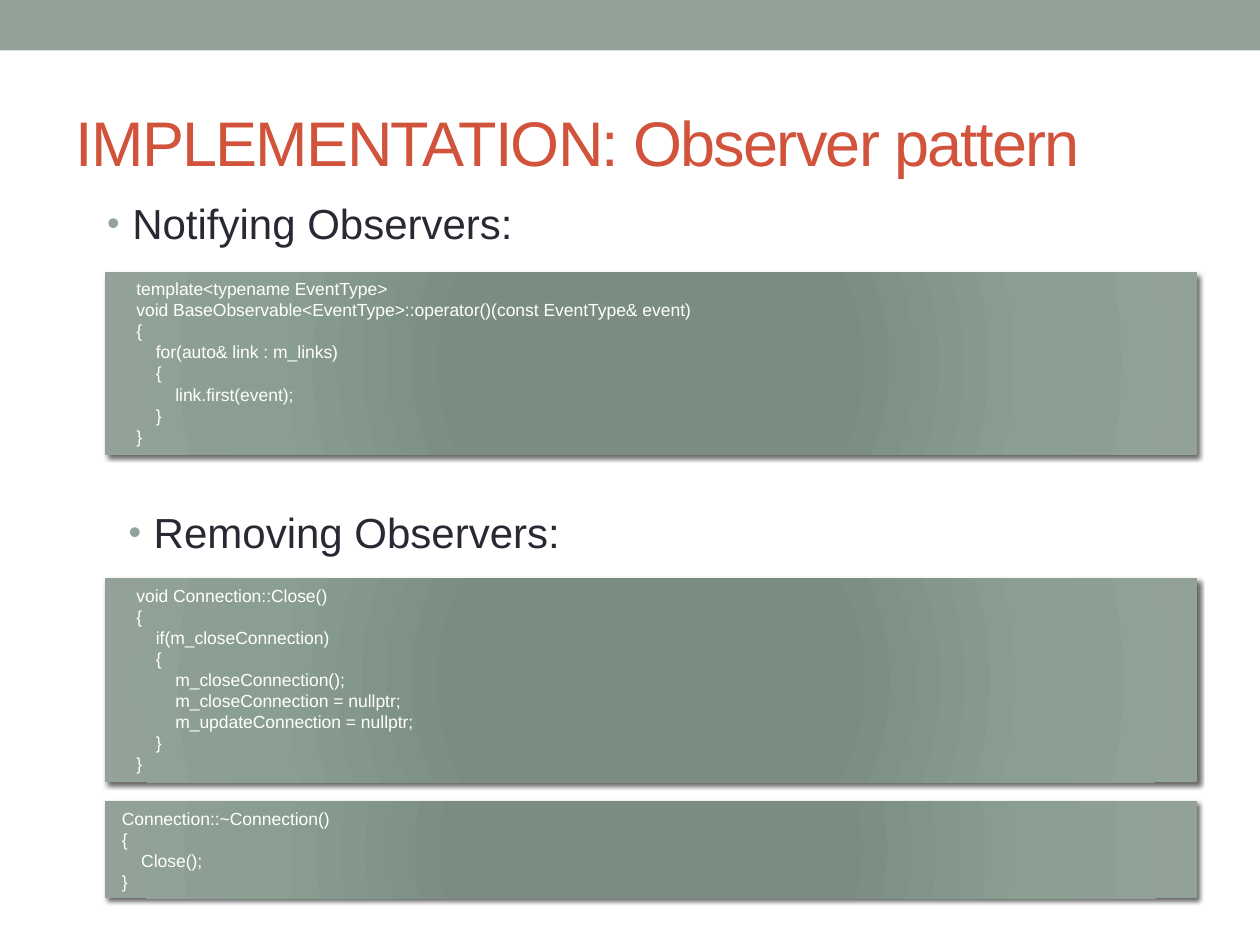
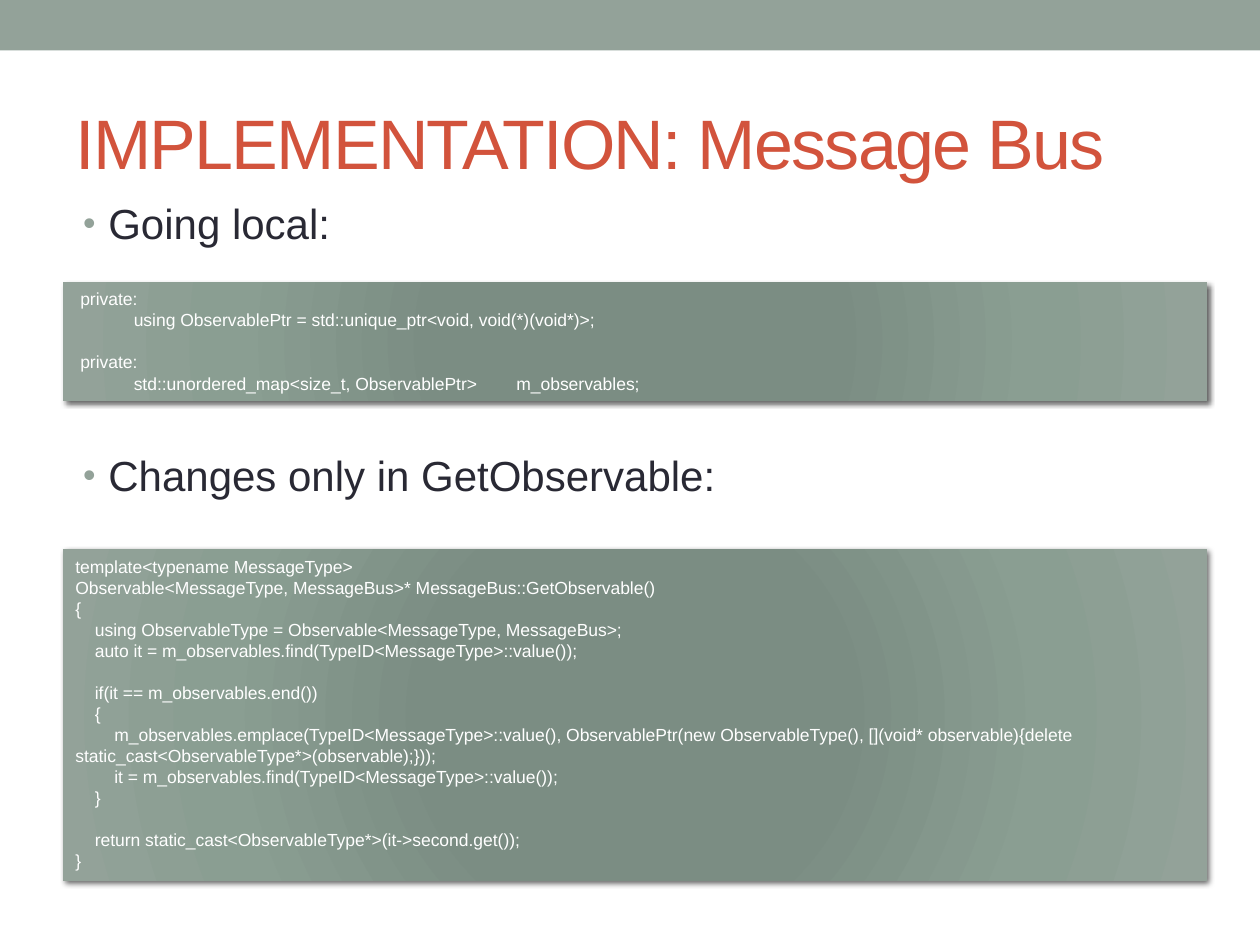
from lxml.etree import SubElement
from pptx import Presentation
from pptx.dml.color import RGBColor
from pptx.enum.shapes import MSO_SHAPE
from pptx.enum.text import MSO_ANCHOR, MSO_AUTO_SIZE, PP_ALIGN
from pptx.oxml.ns import qn
from pptx.util import Inches, Pt

COLOURS = {
    "band": "93A299",
    "title": "D2533C",
    "body": "292934",
    "code": "FFFFFF",
    "shadow": "000000",
}
PANEL_STOPS = [(0, "7B8E82"), (34, "7B8D83"), (70, "8A9E92"), (100, "93A299")]
FONT = "Arial"
CODE_SIZE = 10
CODE_LINE = 12
SPACE_WIDTH = CODE_SIZE * 0.278
MEMBER_TAB = 3.3

NOTIFY = """
    template<typename EventType>
    void BaseObservable<EventType>::operator()(const EventType& event)
    {
        for(auto& link : m_links)
        {
            link.first(event);
        }
    }
"""

CLOSE = """
    void Connection::Close()
    {
        if(m_closeConnection)
        {
            m_closeConnection();
            m_closeConnection = nullptr;
            m_updateConnection = nullptr;
        }
    }
"""

DESTRUCTOR = """
 Connection::~Connection()
 {
     Close();
 }
"""

MEMBERS = """
 private:
            using ObservablePtr = std::unique_ptr<void, void(*)(void*)>;

 private:
            std::unordered_map<size_t, ObservablePtr>\tm_observables;
"""

GET_OBSERVABLE = """
template<typename MessageType>
Observable<MessageType, MessageBus>* MessageBus::GetObservable()
{
    using ObservableType = Observable<MessageType, MessageBus>;
    auto it = m_observables.find(TypeID<MessageType>::value());

    if(it == m_observables.end())
    {
        m_observables.emplace(TypeID<MessageType>::value(), ObservablePtr(new ObservableType(), [](void* observable){delete static_cast<ObservableType*>(observable);}));
        it = m_observables.find(TypeID<MessageType>::value());
    }

    return static_cast<ObservableType*>(it->second.get());
}
"""


def add_xml(parent, tag, **attributes):
    return SubElement(parent, qn(tag), {key: str(value) for key, value in attributes.items()})


def place(shape, box):
    shape.left, shape.top, shape.width, shape.height = map(Inches, box)


def style_runs(paragraph, size, colour):
    for run in paragraph.runs:
        run.font.name = FONT
        run.font.size = Pt(size)
        run.font.color.rgb = RGBColor.from_string(COLOURS[colour])


def add_master_band(master, slide):
    band = slide.shapes.add_shape(MSO_SHAPE.RECTANGLE, 0, 0, Inches(10), Inches(0.4))
    band.shadow.inherit = False
    band.fill.solid()
    band.fill.fore_color.rgb = RGBColor.from_string(COLOURS["band"])
    band.line.fill.background()
    band.element.nvSpPr.cNvPr.set("id", "20")
    master.element.cSld.spTree.insert(2, band.element)


def write_title(title, wording, size):
    place(title, (0.5, 0.58, 9, 1.08))
    frame = title.text_frame
    frame.text = wording
    frame.auto_size = MSO_AUTO_SIZE.NONE
    frame.vertical_anchor = MSO_ANCHOR.MIDDLE
    heading = frame.paragraphs[0]
    heading.alignment = PP_ALIGN.LEFT
    style_runs(heading, size, "title")
    heading.runs[0].font._element.set("spc", "-100")


def write_bullet(body, wording, left, top):
    place(body, (left, top, 8.75, 0.62))
    frame = body.text_frame
    frame.text = wording
    frame.auto_size = MSO_AUTO_SIZE.NONE
    frame.vertical_anchor = MSO_ANCHOR.TOP
    bullet = frame.paragraphs[0]
    style_runs(bullet, 24, "body")
    properties = bullet._p.get_or_add_pPr()
    properties.set("marL", str(Inches(0.2)))
    properties.set("indent", str(-Inches(0.2)))
    add_xml(add_xml(properties, "a:spcBef"), "a:spcPct", val=20000)
    add_xml(add_xml(properties, "a:buClr"), "a:srgbClr", val=COLOURS["band"])
    add_xml(properties, "a:buSzPct", val=85000)
    add_xml(properties, "a:buFont", typeface=FONT)
    add_xml(properties, "a:buChar", char="•")


def style_panel(panel):
    panel.line.fill.background()
    properties = panel.element.spPr
    gradient = add_xml(properties, "a:gradFill", rotWithShape=1)
    stops = add_xml(gradient, "a:gsLst")
    for position, colour in PANEL_STOPS:
        stop = add_xml(stops, "a:gs", pos=position * 1000)
        add_xml(stop, "a:srgbClr", val=colour)
    circle = add_xml(gradient, "a:path", path="circle")
    add_xml(circle, "a:fillToRect", l=100000, t=100000, r=100000, b=100000)
    properties.find(qn("a:ln")).addprevious(gradient)

    panel.shadow.inherit = False
    shadow = add_xml(properties.find(qn("a:effectLst")), "a:outerShdw",
                     blurRad=Pt(3), dist=Pt(2), dir=45 * 60000, rotWithShape=0)
    shade = add_xml(shadow, "a:srgbClr", val=COLOURS["shadow"])
    add_xml(shade, "a:alpha", val=60000)


def write_code(frame, code):
    frame.word_wrap = True
    frame.auto_size = MSO_AUTO_SIZE.SHAPE_TO_FIT_TEXT
    frame.vertical_anchor = MSO_ANCHOR.TOP
    line = None
    after_gap = False
    for source in code.strip("\n").split("\n"):
        statement = source.lstrip(" ")
        if not statement:
            after_gap = True
            continue
        line = frame.add_paragraph() if line else frame.paragraphs[0]
        line.text = statement
        line.alignment = PP_ALIGN.LEFT
        if after_gap:
            line.space_before = Pt(CODE_LINE)
        after_gap = False
        style_runs(line, CODE_SIZE, "code")
        properties = line._p.get_or_add_pPr()
        properties.set("marL", "0")
        properties.set("indent", str(Pt((len(source) - len(statement)) * SPACE_WIDTH)))
        if "\t" in statement:
            add_xml(add_xml(properties, "a:tabLst"), "a:tab", pos=Inches(MEMBER_TAB), algn="l")


def add_code_panel(slide, code, box):
    panel = slide.shapes.add_shape(MSO_SHAPE.RECTANGLE, *map(Inches, box))
    style_panel(panel)
    write_code(panel.text_frame, code)


def add_code_slide(deck, title, title_size, bullets, panels, left, width):
    slide = deck.slides.add_slide(deck.slide_layouts.get_by_name("Two Content"))
    write_title(slide.shapes.title, title, title_size)
    for index, bullet in enumerate(bullets, 1):
        write_bullet(slide.placeholders[index], *bullet)
    for code, top, height in panels:
        add_code_panel(slide, code, (left, top, width, height))
    return slide


def main():
    deck = Presentation()
    deck.slide_width, deck.slide_height = Inches(10), Inches(7.5)
    observer = add_code_slide(
        deck, "IMPLEMENTATION: Observer pattern", 36,
        [("Notifying Observers:", 0.75, 1.52), ("Removing Observers:", 0.92, 3.97)],
        [(NOTIFY, 2.16, 1.45), (CLOSE, 4.59, 1.62), (DESTRUCTOR, 6.36, 0.77)],
        left=0.83, width=8.67)
    add_master_band(deck.slide_master, observer)
    add_code_slide(
        deck, "IMPLEMENTATION: Message Bus", 40,
        [("Going local:", 0.56, 1.52), ("Changes only in GetObservable:", 0.56, 3.52)],
        [(MEMBERS, 2.24, 0.94), (GET_OBSERVABLE, 4.36, 2.63)],
        left=0.5, width=9.08)
    deck.save("out.pptx")


if __name__ == "__main__":
    main()
